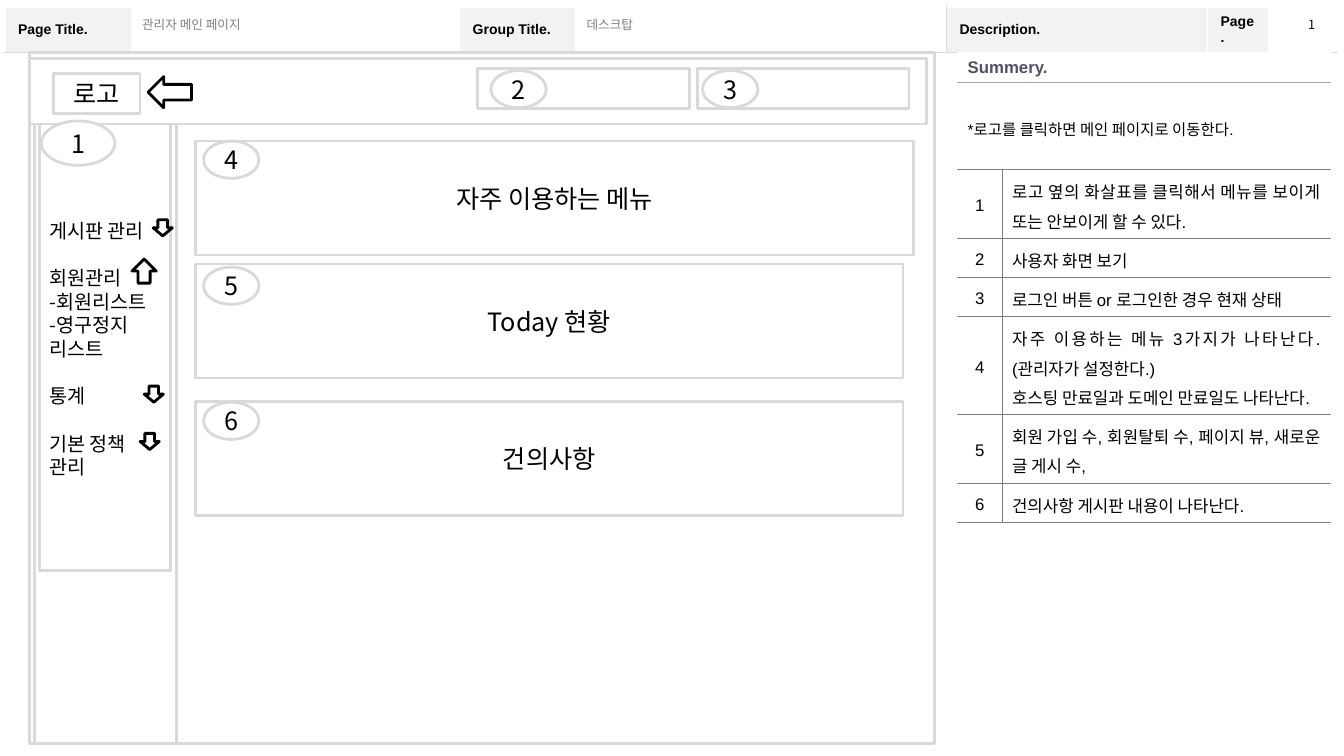
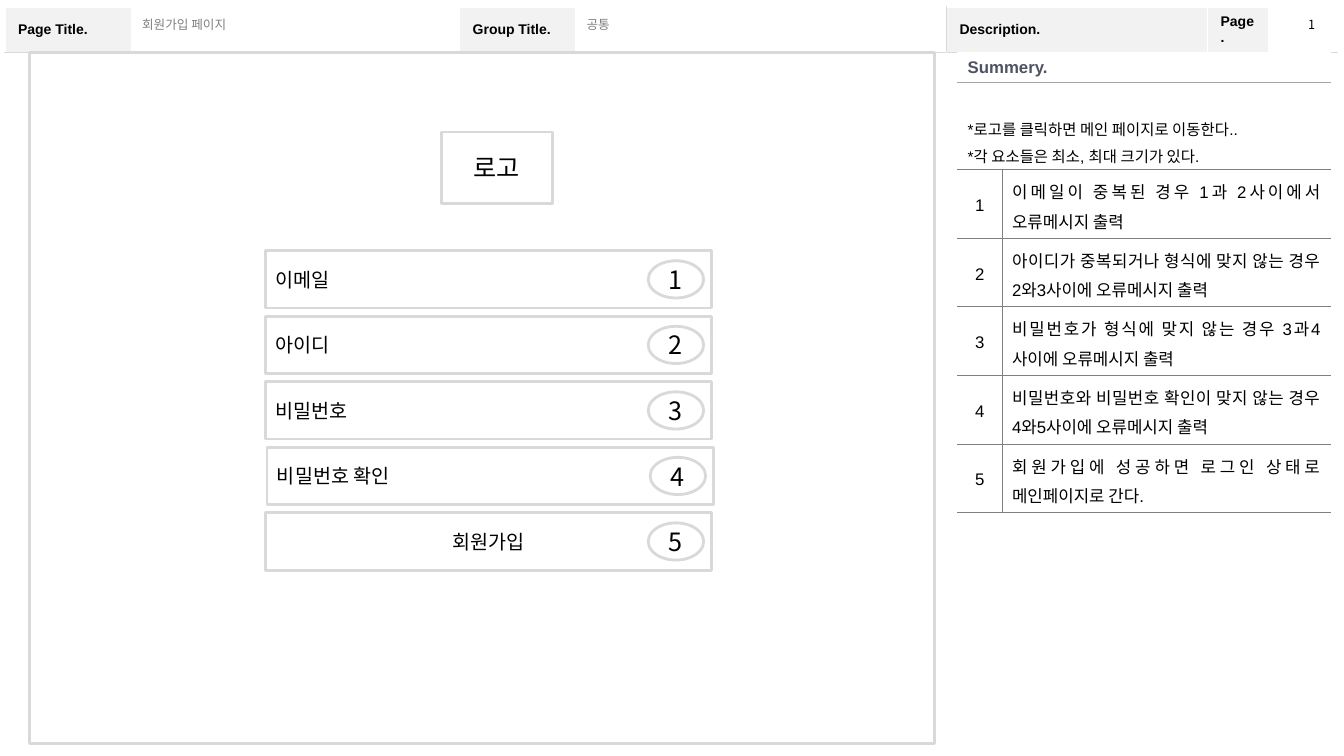
from lxml.etree import SubElement
from pptx import Presentation
from pptx.dml.color import RGBColor
from pptx.enum.shapes import MSO_SHAPE
from pptx.enum.text import MSO_ANCHOR, MSO_AUTO_SIZE, PP_ALIGN
from pptx.oxml.ns import qn
from pptx.util import Pt

BLACK = RGBColor(0x00, 0x00, 0x00)
WHITE = RGBColor(0xFF, 0xFF, 0xFF)
BAND = RGBColor(0xF2, 0xF2, 0xF2)
OUTLINE = RGBColor(0xD9, 0xD9, 0xD9)
RULE = RGBColor(0x80, 0x80, 0x80)
LIGHT_RULE = RGBColor(0xA6, 0xA6, 0xA6)
HEADING = RGBColor(0x4E, 0x52, 0x63)
LATIN = "Arial"
KOREAN = "Noto Sans CJK KR"
RECTANGLE = MSO_SHAPE.RECTANGLE
OVAL = MSO_SHAPE.OVAL
BADGE = (39.6, 26.6)


def add_box(slide, kind, left, top, width, height, text="", size=18,
            align=PP_ALIGN.CENTER, outline=OUTLINE):
    shape = slide.shapes.add_shape(kind, Pt(left), Pt(top), Pt(width), Pt(height))
    shape.shadow.inherit = False
    shape.fill.solid()
    shape.fill.fore_color.rgb = WHITE
    shape.line.color.rgb = outline
    shape.line.width = Pt(2)
    shape.text_frame.text = text
    shape.text_frame.vertical_anchor = MSO_ANCHOR.MIDDLE
    for paragraph in shape.text_frame.paragraphs:
        paragraph.alignment = align
        paragraph.font.size = Pt(size)
        paragraph.font.name = KOREAN
        paragraph.font.color.rgb = BLACK
    return shape


def fill_cell(cell, text, size, borders, align=PP_ALIGN.LEFT, spacing=1.0,
              color=BLACK, bold=False, background=None):
    cell.text = text
    cell.vertical_anchor = MSO_ANCHOR.MIDDLE
    for paragraph in cell.text_frame.paragraphs:
        paragraph.alignment = align
        paragraph.line_spacing = spacing
        paragraph.font.size = Pt(size)
        paragraph.font.name = LATIN
        paragraph.font.bold = bold
        paragraph.font.color.rgb = color
    properties = cell._tc.get_or_add_tcPr()
    for side in "LRTB":
        if side in borders:
            line = SubElement(properties, qn("a:ln" + side), w=str(Pt(0.25)))
            SubElement(SubElement(line, qn("a:solidFill")), qn("a:srgbClr"), val=str(borders[side]))
    if background is None:
        cell.fill.background()
    else:
        cell.fill.solid()
        cell.fill.fore_color.rgb = background


pages = [
    {
        "title": "관리자 메인 페이지",
        "group": "데스크탑",
        "summary": "*로고를 클릭하면 메인 페이지로 이동한다.",
        "notes": [
            ("로고 옆의 화살표를 클릭해서 메뉴를 보이게 또는 안보이게 할 수 있다.", 49),
            ("사용자 화면 보기", 28),
            ("로그인 버튼 or 로그인한 경우 현재 상태", 28),
            ("자주 이용하는 메뉴 3가지가 나타난다.(관리자가 설정한다.)\n"
             "호스팅 만료일과 도메인 만료일도 나타난다.", 70),
            ("회원 가입 수, 회원탈퇴 수, 페이지 뷰, 새로운 글 게시 수,", 49),
            ("건의사항 게시판 내용이 나타난다.", 28),
        ],
    },
    {
        "title": "회원가입 페이지",
        "group": "공통",
        "summary": "*로고를 클릭하면 메인 페이지로 이동한다..\n*각 요소들은 최소, 최대 크기가 있다.",
        "notes": [
            ("이메일이 중복된 경우 1과 2사이에서 오류메시지 출력", 49),
            ("아이디가 중복되거나 형식에 맞지 않는 경우 2와3사이에 오류메시지 출력", 49),
            ("비밀번호가 형식에 맞지 않는 경우 3과4사이에 오류메시지 출력", 49),
            ("비밀번호와 비밀번호 확인이 맞지 않는 경우 4와5사이에 오류메시지 출력", 49),
            ("회원가입에 성공하면 로그인 상태로 메인페이지로 간다.", 49),
        ],
    },
]
frame_widths = [90.7, 234, 82.8, 265, 186.5, 43.9, 49]
frame_labels = ["Page Title.", "", "Group Title.", "", "Description.", "Page.", ""]

presentation = Presentation()
presentation.slide_width = Pt(960)
presentation.slide_height = Pt(540)
slides = []

for page in pages:
    slide = presentation.slides.add_slide(presentation.slide_layouts[2])
    slides.append(slide)

    frame = slide.shapes.add_table(2, 7, Pt(3.6), Pt(5), Pt(951.9), Pt(512)).table
    frame.first_row = frame.horz_banding = False
    frame.rows[0].height = Pt(32)
    frame.rows[1].height = Pt(480)
    for index, (width, label) in enumerate(zip(frame_widths, frame_labels)):
        frame.columns[index].width = Pt(width)
        divider = {"L": OUTLINE} if index == 4 else {"R": OUTLINE} if index == 3 else {}
        header = frame.cell(0, index)
        fill_cell(header, label, 10, {**divider, "B": OUTLINE}, bold=True,
                  background=BAND if label else None)
        header.margin_left = header.margin_right = Pt(9.4)
        header.margin_top = header.margin_bottom = Pt(5)
        fill_cell(frame.cell(1, index), "", 10, {**divider, "T": OUTLINE})
    frame.cell(1, 0).merge(frame.cell(1, 3))
    frame.cell(1, 4).merge(frame.cell(1, 6))

    for placeholder, text, left, width in [
        (slide.shapes.title, page["title"], 94.3, 233.3),
        (slide.placeholders[1], page["group"], 411.8, 262),
    ]:
        placeholder.left, placeholder.top = Pt(left), Pt(8.6)
        placeholder.width, placeholder.height = Pt(width), Pt(17.3)
        placeholder.text_frame.text = text
        placeholder.text_frame.auto_size = MSO_AUTO_SIZE.NONE
        placeholder.text_frame.vertical_anchor = MSO_ANCHOR.MIDDLE
        paragraph = placeholder.text_frame.paragraphs[0]
        paragraph.alignment = PP_ALIGN.LEFT
        paragraph.space_before = Pt(0)
        paragraph.font.size = Pt(9)
        paragraph.font.name = LATIN
        paragraph.font.bold = False
        paragraph.font.color.rgb = RULE

    page_number = slide.shapes.add_textbox(Pt(927.4), Pt(8.6), Pt(19.4), Pt(18))
    page_number.text_frame.word_wrap = False
    page_number.text_frame.text = "1"
    paragraph = page_number.text_frame.paragraphs[0]
    paragraph.font.size = Pt(9)
    paragraph.font.name = KOREAN
    paragraph.font.color.rgb = BLACK

    heights = [20.2, 62] + [height for note, height in page["notes"]]
    description = slide.shapes.add_table(
        len(heights), 2, Pt(684), Pt(37.4), Pt(266.4), Pt(sum(heights))).table
    description.first_row = description.horz_banding = False
    description.columns[0].width = Pt(31.7)
    description.columns[1].width = Pt(234.7)
    for row, height in zip(description.rows, heights):
        row.height = Pt(height)
    for row in range(2):
        description.cell(row, 0).merge(description.cell(row, 1))
    for column in range(2):
        fill_cell(description.cell(0, column), "" if column else "Summery.", 12,
                  {"B": LIGHT_RULE}, color=HEADING, bold=True, background=WHITE)
        fill_cell(description.cell(1, column), "" if column else page["summary"], 11,
                  {"T": LIGHT_RULE, "B": RULE}, PP_ALIGN.JUSTIFY, 1.2)
    summary = description.cell(1, 0)
    summary.vertical_anchor = MSO_ANCHOR.TOP
    summary.margin_top = Pt(22)
    summary.margin_bottom = Pt(0)
    for number, (note, height) in enumerate(page["notes"], 1):
        fill_cell(description.cell(number + 1, 0), str(number), 12,
                  {"R": RULE, "T": RULE, "B": RULE}, PP_ALIGN.CENTER, 1.2)
        fill_cell(description.cell(number + 1, 1), note, 12,
                  {"L": RULE, "T": RULE, "B": RULE}, PP_ALIGN.JUSTIFY, 1.2)

    add_box(slide, RECTANGLE, 21, 37.4, 646.6, 493.9)

main_slide, signup_slide = slides

add_box(main_slide, RECTANGLE, 24.5, 47.5, 101.5, 483.8)
add_box(main_slide, RECTANGLE, 21, 41.8, 640.8, 46.8)
add_box(main_slide, RECTANGLE, 38.2, 52.6, 61.9, 28.8, "로고")
for number, left, badge_left in [("2", 341.3, 350.6), ("3", 498.2, 501.8)]:
    add_box(main_slide, RECTANGLE, left, 49, 151.2, 28.8)
    add_box(main_slide, OVAL, badge_left, 50.4, *BADGE, number)
for number, text, top, width, badge_top in [
    ("4", "자주 이용하는 메뉴", 100.8, 512.6, 100.8),
    ("5", "Today 현황", 188.6, 505.4, 190.8),
    ("6", "건의사항", 286.6, 505.4, 287.3),
]:
    add_box(main_slide, RECTANGLE, 139.7, top, width, 81.4, text)
    add_box(main_slide, OVAL, 145.4, badge_top, *BADGE, number)

menu_items = ["게시판 관리", "회원관리", "-회원리스트", "-영구정지 리스트", "통계", "기본 정책 관리"]
menu = add_box(main_slide, RECTANGLE, 28.1, 88.6, 93.6, 319, "\n".join(menu_items), 14, PP_ALIGN.LEFT)
menu.text_frame.vertical_anchor = MSO_ANCHOR.TOP
menu.text_frame.margin_top = Pt(67.5)
for index, paragraph in enumerate(menu.text_frame.paragraphs):
    paragraph.line_spacing = Pt(16.9)
    if index and not menu_items[index].startswith("-"):
        paragraph.space_before = Pt(16.9)
add_box(main_slide, OVAL, 29.5, 86.4, 52.6, 31.7, "1")

for kind, left, top, width, height in [
    (MSO_SHAPE.LEFT_ARROW, 105.8, 54.7, 31, 22.3),
    (MSO_SHAPE.UP_ARROW, 94.3, 185, 17.3, 17.3),
    (MSO_SHAPE.DOWN_ARROW, 109.4, 157, 13.7, 11.5),
    (MSO_SHAPE.DOWN_ARROW, 103, 275.8, 13.7, 11.5),
    (MSO_SHAPE.DOWN_ARROW, 100.1, 309.6, 13.7, 11.5),
]:
    add_box(main_slide, kind, left, top, width, height, outline=BLACK)

add_box(signup_slide, RECTANGLE, 315.4, 94.3, 79.2, 51.1, "로고")
for index, (text, left, align) in enumerate([
    ("이메일", 189.4, PP_ALIGN.LEFT),
    ("아이디", 189.4, PP_ALIGN.LEFT),
    ("비밀번호", 189.4, PP_ALIGN.LEFT),
    ("비밀번호 확인", 190.8, PP_ALIGN.LEFT),
    ("회원가입", 189.4, PP_ALIGN.CENTER),
]):
    top = 179.1 + 46.8 * index
    add_box(signup_slide, RECTANGLE, left, top, 319, 41, text, 14, align)
    add_box(signup_slide, OVAL, left + 273.6, top + 7.2, *BADGE, str(index + 1))

presentation.save("out.pptx")
